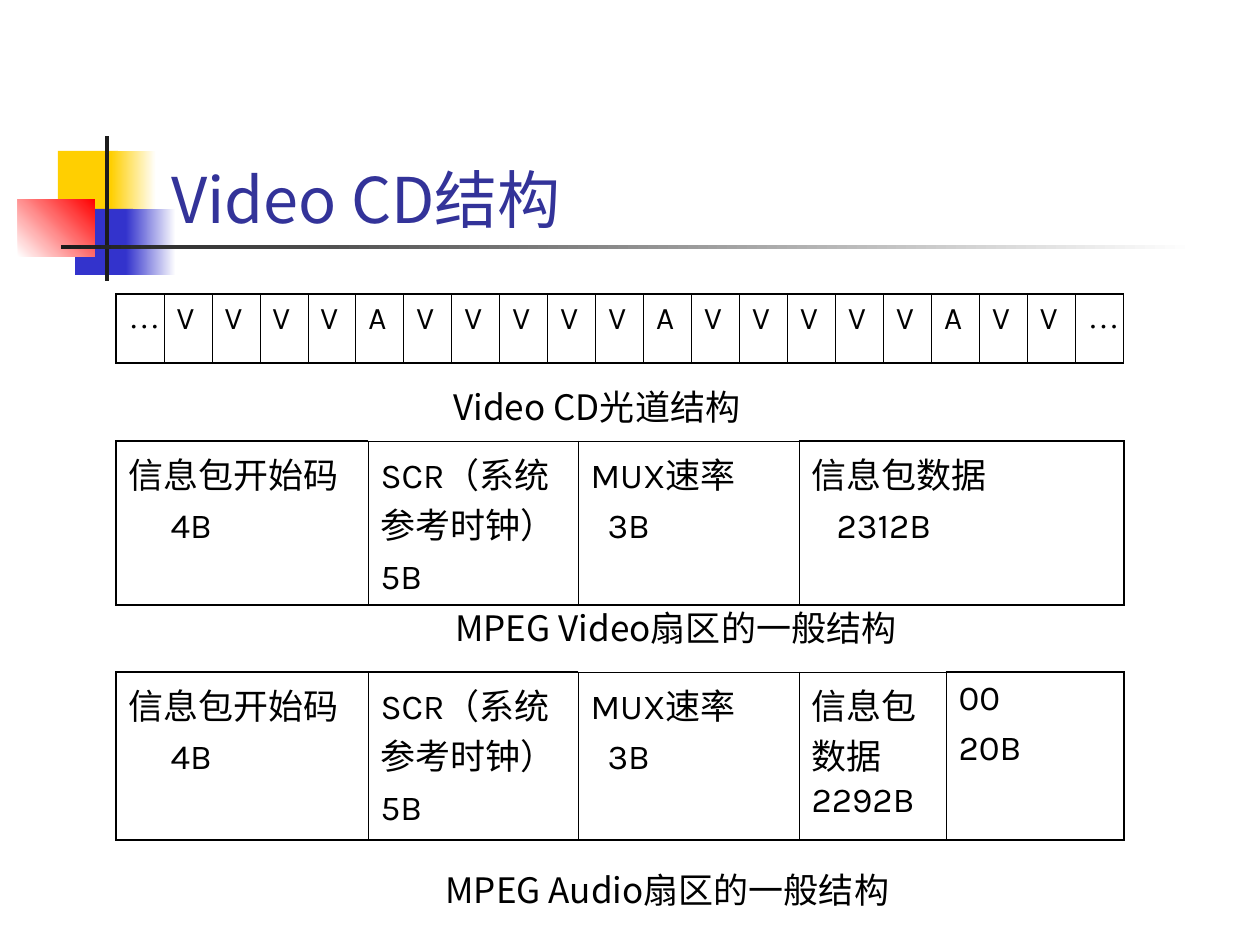
from dataclasses import dataclass

from lxml.etree import SubElement
from pptx import Presentation
from pptx.dml.color import RGBColor as Rgb
from pptx.enum.shapes import MSO_SHAPE as Preset
from pptx.enum.text import MSO_ANCHOR as Anchor, MSO_AUTO_SIZE as AutoSize
from pptx.oxml.ns import qn
from pptx.util import Emu, Pt


@dataclass(frozen=True)
class Theme:
    yellow: str = "FFCF01"
    blue: str = "3333CC"
    red: str = "FF0000"
    dark: str = "1C1C1C"
    white: str = "FFFFFF"
    title: str = "333399"
    ink: str = "000000"
    heading_font: str = "Noto Sans CJK SC"
    cell_font: str = "Karla"
    dots_font: str = "Times New Roman"
    title_size: int = 36
    body_size: int = 20
    track_size: int = 18
    thick: float = 1.08
    thin: float = 0.45


THEME = Theme()
EMU_PER_PX = 914400 / 126
TABLE_LEFT = 116
TABLE_WIDTH = 1008


def px(count):
    return Emu(round(count * EMU_PER_PX))


def add_span(para, text, size, font, color=THEME.ink):
    span = para.add_run()
    span.text = text
    span.font.size = Pt(size)
    span.font.name = font
    span.font.color.rgb = Rgb.from_string(color)
    east_asian = SubElement(span._r.get_or_add_rPr(), qn("a:ea"))
    east_asian.set("typeface", THEME.heading_font)


def add_block(page, bounds, start, end=None, angle=0):
    block = page.shapes.add_shape(Preset.RECTANGLE, *map(px, bounds))
    block.shadow.inherit = False
    block.line.fill.background()
    if end is None:
        block.fill.solid()
        block.fill.fore_color.rgb = Rgb.from_string(start)
        return
    block.fill.gradient()
    block.fill.gradient_angle = angle
    for stop, position, color in zip(block.fill.gradient_stops, (0, 1), (start, end)):
        stop.position = position
        stop.color.rgb = Rgb.from_string(color)


def add_title(page, text):
    box = page.shapes.add_textbox(px(159), px(84), px(1074), px(158))
    box.text_frame.word_wrap = True
    box.text_frame.vertical_anchor = Anchor.BOTTOM
    add_span(box.text_frame.paragraphs[0], text,
             THEME.title_size, THEME.heading_font, THEME.title)


def add_caption(page, left, top, width, text):
    box = page.shapes.add_textbox(px(left), px(top), px(width), px(55))
    box.text_frame.word_wrap = False
    box.text_frame.auto_size = AutoSize.SHAPE_TO_FIT_TEXT
    add_span(box.text_frame.paragraphs[0], text, THEME.body_size, THEME.heading_font)


def set_borders(cell, widths):
    properties = cell._tc.get_or_add_tcPr()
    for side, width in zip("LRTB", widths):
        line = SubElement(properties, qn(f"a:ln{side}"), w=str(Pt(width)))
        fill = SubElement(line, qn("a:solidFill"))
        SubElement(fill, qn("a:srgbClr"), val=THEME.ink)


def fill_cell(cell, lines, size):
    frame = cell.text_frame
    for index, (text, indent) in enumerate(lines):
        para = frame.add_paragraph() if index else frame.paragraphs[0]
        if index:
            para.space_before = Pt(5)
        if indent:
            para._p.get_or_add_pPr().set("marL", str(px(indent)))
        font = THEME.dots_font if text == "…" else THEME.cell_font
        add_span(para, text, size, font)


def add_strip(page, top, height, widths, cells, size, thin_tops=()):
    frame = page.shapes.add_table(1, len(cells), px(TABLE_LEFT), px(top),
                                  px(TABLE_WIDTH), px(height))
    table = frame.table
    table.first_row = table.horz_banding = False
    table.rows[0].height = px(height)
    last = len(cells) - 1
    for index, (width, lines) in enumerate(zip(widths, cells)):
        table.columns[index].width = px(width)
        cell = table.cell(0, index)
        set_borders(cell, (
            THEME.thin if index else THEME.thick,
            THEME.thick if index == last else THEME.thin,
            THEME.thin if index in thin_tops else THEME.thick,
            THEME.thick,
        ))
        cell.fill.background()
        fill_cell(cell, lines, size)


def add_ornament(page):
    add_block(page, (58, 151, 60, 66), THEME.yellow)
    add_block(page, (111, 151, 45, 66), THEME.yellow, THEME.white)
    add_block(page, (75, 209, 58, 66), THEME.blue)
    add_block(page, (126, 209, 50, 66), THEME.blue, THEME.white)
    add_block(page, (18, 199, 77, 58), THEME.white, THEME.red, 45)
    add_block(page, (105, 136, 4, 145), THEME.dark)
    add_block(page, (61, 245, 1134, 4), THEME.dark, THEME.white)


def main():
    deck = Presentation()
    deck.slide_width, deck.slide_height = px(1260), px(945)
    page = deck.slides.add_slide(deck.slide_layouts[6])
    add_ornament(page)
    add_title(page, "Video CD结构")

    track = [[(mark, 0)] for mark in "…VVVVAVVVVVAVVVVVAVV…"]
    column = TABLE_WIDTH // len(track)
    add_strip(page, 294, 69, [column] * len(track), track, THEME.track_size)

    header = [
        [("信息包开始码", 0), ("4B", 42)],
        [("SCR（系统参考时钟）", 0), ("5B", 0)],
        [("MUX速率", 0), ("3B", 17)],
    ]
    header_widths = [252, 210, 221]
    video = [[("信息包数据", 0), ("2312B", 25)]]
    audio = [[("信息包数据 2292B", 0)], [("00", 0), ("20B", 0)]]
    add_strip(page, 441, 164, header_widths + [325], header + video,
              THEME.body_size, thin_tops=(1, 2))
    add_strip(page, 672, 168, header_widths + [147, 178], header + audio,
              THEME.body_size, thin_tops=(2, 3))

    add_caption(page, 441, 379, 323, "Video CD光道结构")
    add_caption(page, 443, 600, 479, "MPEG Video扇区的一般结构")
    add_caption(page, 433, 862, 481, "MPEG Audio扇区的一般结构")
    deck.save("out.pptx")


if __name__ == "__main__":
    main()
